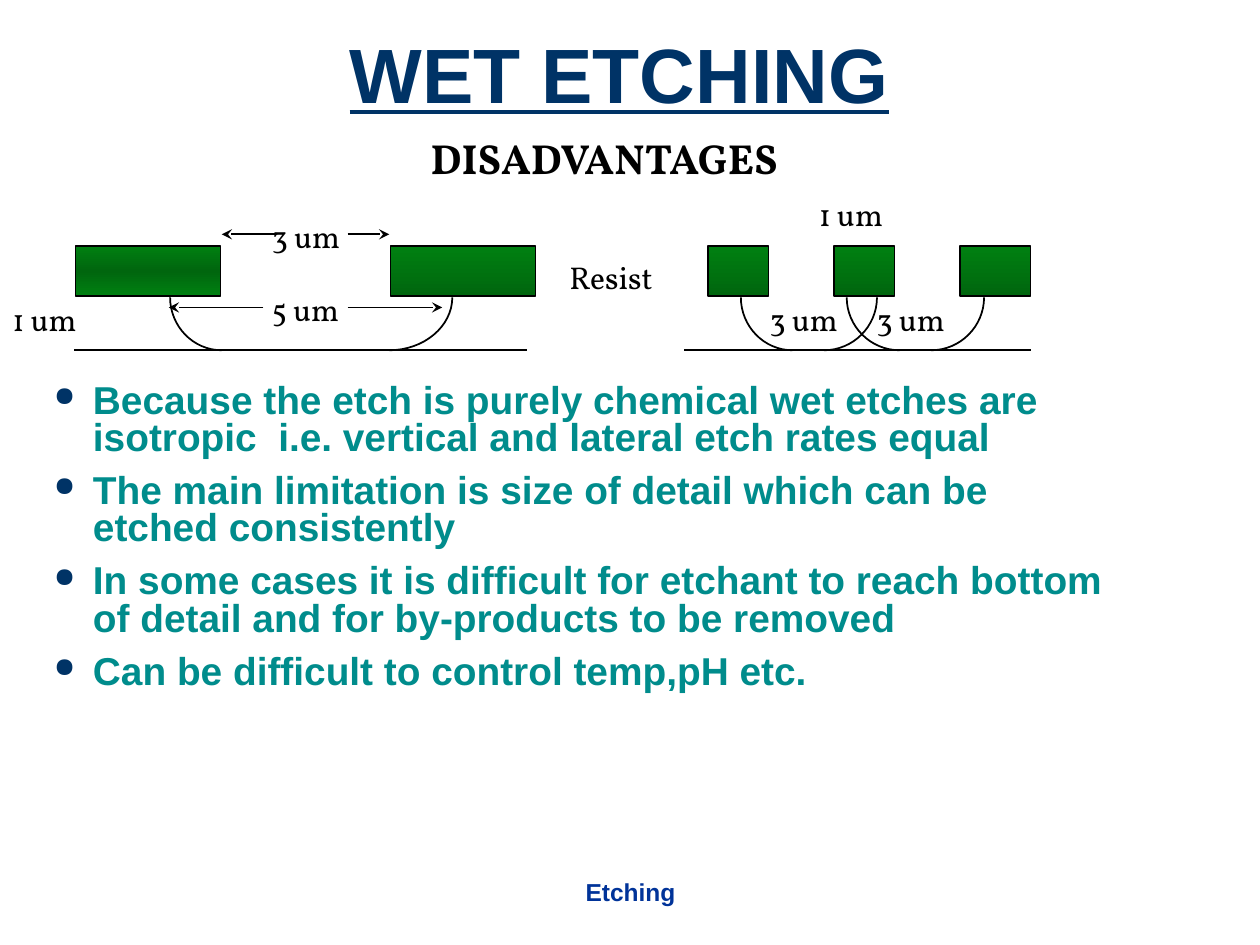
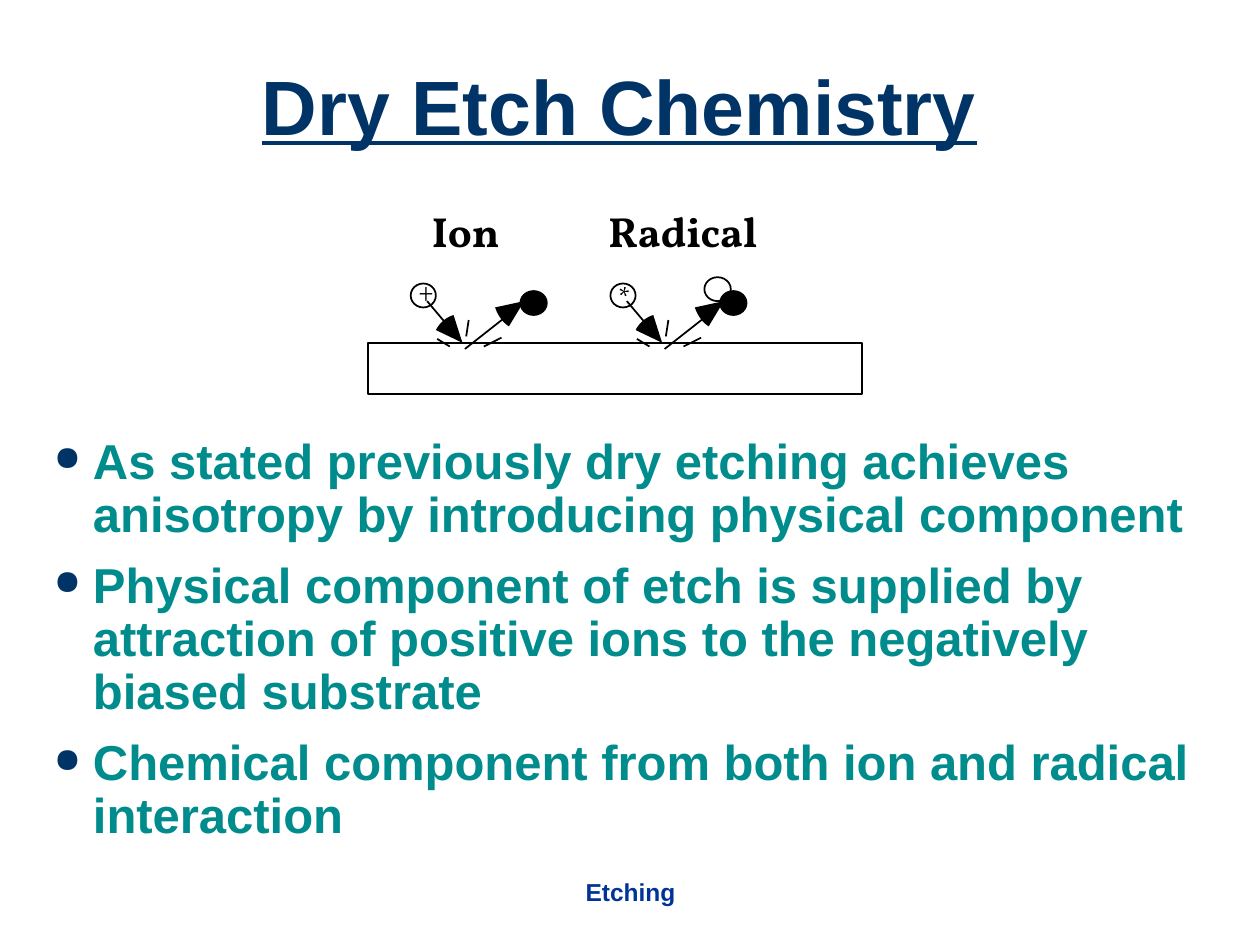
import copy
from typing import NamedTuple, Sequence

import pptx
import pptx.dml.color
import pptx.enum.dml
import pptx.enum.shapes
import pptx.enum.text
import pptx.oxml
import pptx.oxml.ns
import pptx.shapes.autoshape
import pptx.slide
import pptx.util

RGBColor = pptx.dml.color.RGBColor
NAVY = RGBColor(0x00, 0x33, 0x66)
BLUE = RGBColor(0x00, 0x33, 0x99)
TEAL = RGBColor(0x00, 0x8C, 0x8C)
BLACK = RGBColor(0x00, 0x00, 0x00)
GREEN = RGBColor(0x00, 0x80, 0x11)
DARK_GREEN = RGBColor(0x00, 0x66, 0x0E)

SANS, SERIF = "Arial", "Vollkorn"
ALIGN = pptx.enum.text.PP_ALIGN
ANCHOR = pptx.enum.text.MSO_ANCHOR
SHAPE = pptx.enum.shapes.MSO_SHAPE

# The slide is a grid of 100 columns by 75 rows
SLIDE_W, SLIDE_H = pptx.util.Inches(10), pptx.util.Inches(7.5)
COL, ROW = SLIDE_W // 100, SLIDE_H // 75


class Point(NamedTuple):
    col: float
    row: float

    def emu(self) -> tuple[int, int]:
        return round(self.col * COL), round(self.row * ROW)


class Box(NamedTuple):
    col: float
    row: float
    cols: float
    rows: float

    def emu(self) -> tuple[int, int, int, int]:
        return (round(self.col * COL), round(self.row * ROW),
                round(self.cols * COL), round(self.rows * ROW))


class Line(NamedTuple):
    start: Point
    end: Point


class Label(NamedTuple):
    text: str
    col: float
    row: float
    cols: float = 8


class EtchCurve(NamedTuple):
    floor_col: float
    edge_col: float


class Particle(NamedTuple):
    symbol: str
    shift: float
    symbol_row: float
    takes_atom: bool


# Drawing helpers
def sub(parent, tag: str, **attrs: str):
    """Append a DrawingML element to its parent."""
    el = pptx.oxml.parse_xml(f"<a:{tag} {pptx.oxml.ns.nsdecls('a')}/>")
    for name, value in attrs.items():
        el.set(name, value)
    parent.append(el)
    return el


def add_text(slide: pptx.slide.Slide, box: Box, *paragraphs: str, size: float,
             color: RGBColor = BLACK, font: str = SERIF, bold: bool = False,
             underline: bool = False, align: ALIGN = ALIGN.LEFT,
             anchor: ANCHOR = ANCHOR.TOP, wrap: bool = False,
             grow: bool = False, spacing: float = 1.0, before: float = 0,
             bullets: bool = False, inset: tuple[float, float] = (0.1, 0.05),
             tab: float | None = None) -> None:
    tf = slide.shapes.add_textbox(*box.emu()).text_frame
    tf.word_wrap = wrap
    tf.auto_size = (pptx.enum.text.MSO_AUTO_SIZE.SHAPE_TO_FIT_TEXT if grow
                    else pptx.enum.text.MSO_AUTO_SIZE.NONE)
    tf.vertical_anchor = anchor
    tf.margin_left = tf.margin_right = pptx.util.Inches(inset[0])
    tf.margin_top = tf.margin_bottom = pptx.util.Inches(inset[1])
    for i, text in enumerate(paragraphs):
        p = tf.add_paragraph() if i else tf.paragraphs[0]
        p.alignment = align
        p.line_spacing = spacing
        if i:
            p.space_before = pptx.util.Pt(before)
        pPr = p._p.get_or_add_pPr()
        if bullets:
            indent = pptx.util.Inches(0.31)
            pPr.set("marL", str(indent))
            pPr.set("indent", str(-indent))
            sub(sub(pPr, "buClr"), "srgbClr", val=str(NAVY))
            sub(pPr, "buSzPct", val="70000")
            sub(pPr, "buChar", char="●")
        if tab is not None:
            sub(sub(pPr, "tabLst"), "tab", pos=str(round(tab * COL)), algn="l")
        r = p.add_run()
        r.text = text
        r.font.name, r.font.size = font, pptx.util.Pt(size)
        r.font.bold, r.font.underline = bold, underline
        r.font.color.rgb = color


def paint(sp: pptx.shapes.autoshape.Shape, fill: RGBColor | None = None,
          line: RGBColor | None = BLACK) -> None:
    sp.shadow.inherit = False
    if fill is None:
        sp.fill.background()
    else:
        sp.fill.solid()
        sp.fill.fore_color.rgb = fill
    if line is None:
        sp.line.fill.background()
    else:
        sp.line.color.rgb = line
        sp.line.width = pptx.util.Pt(1)


def add_preset(slide: pptx.slide.Slide, kind: SHAPE, box: Box,
               fill: RGBColor | None = None) -> pptx.shapes.autoshape.Shape:
    sp = slide.shapes.add_shape(kind, *box.emu())
    paint(sp, fill)
    return sp


def add_line(slide: pptx.slide.Slide, line: Line, arrow: bool = False) -> None:
    cx = slide.shapes.add_connector(pptx.enum.shapes.MSO_CONNECTOR.STRAIGHT,
                                    *line.start.emu(), *line.end.emu())
    cx.line.color.rgb = BLACK
    cx.line.width = pptx.util.Pt(1)
    if arrow:
        sub(cx.line._get_or_add_ln(), "tailEnd", type="stealth")
    sub(cx._element.spPr, "effectLst")


def bezier(a: Point, b: Point, c: Point, d: Point, steps: int = 16) -> list[Point]:
    """Sample a cubic curve at equal parameter steps."""
    def blend(t: float, w: float, x: float, y: float, z: float) -> float:
        u = 1 - t
        return u**3 * w + 3 * u * u * t * x + 3 * u * t * t * y + t**3 * z
    return [Point(*(blend(i / steps, *axis) for axis in zip(a, b, c, d)))
            for i in range(steps + 1)]


def add_outline(slide: pptx.slide.Slide, points: Sequence[Point],
                filled: bool = False) -> None:
    first, *rest = [pt.emu() for pt in points]
    fb = slide.shapes.build_freeform(*first)
    fb.add_line_segments(rest, close=filled)
    paint(fb.convert_to_shape(), *((BLACK, None) if filled else (None, BLACK)))


# Parts the slides share
def add_footer(slide: pptx.slide.Slide) -> None:
    add_text(slide, Box(34.2, 68.3, 31.7, 5), "Etching", size=14, color=BLUE,
             font=SANS, bold=True, align=ALIGN.CENTER, anchor=ANCHOR.MIDDLE)


def add_title(slide: pptx.slide.Slide, text: str, row: float) -> None:
    add_text(slide, Box(2.5, row, 93.3, 12.5), text, size=44, color=NAVY,
             font=SANS, bold=True, underline=True, align=ALIGN.CENTER,
             anchor=ANCHOR.MIDDLE, wrap=True, spacing=0.9)


def add_body(slide: pptx.slide.Slide, box: Box, *points: str, size: float,
             spacing: float, before: float) -> None:
    add_text(slide, box, *points, size=size, color=TEAL, font=SANS, bold=True,
             wrap=True, spacing=spacing, before=before, bullets=True)


# Wet etching: resist blocks over undercut curves
RESIST_TOP, RESIST_H = 19.5, 4
CURVE_TOP, FLOOR = 23.6, 27.8
RESIST = [(6, 11.5), (31, 11.5), (56.2, 4.8), (66.2, 4.8), (76.2, 5.6)]
CURVES = [EtchCurve(17.6, 13.5), EtchCurve(30.9, 35.9), EtchCurve(62.9, 58.8),
          EtchCurve(65.4, 69.6), EtchCurve(71.4, 67.2), EtchCurve(73.9, 78.1)]
FLOORS = [(5.9, 41.8), (54.3, 81.8)]
# Row, then start and end columns
DIMENSIONS = [(18.6, 27.6, 30.9), (18.6, 21.8, 17.6),
              (24.4, 20.9, 13.4), (24.4, 27.6, 35.1)]
LABELS = [Label("3 um", 20.6, 16.7), Label("5 um", 20.6, 22.5),
          Label("1 um", 0, 23.3), Label("1 um", 64, 15),
          Label("3 um", 68.6, 23.3), Label("3 um", 60.1, 23.3),
          Label("Resist", 44.2, 20, 8.9)]


def add_resist(slide: pptx.slide.Slide, col: float, cols: float,
               mirrored: bool) -> None:
    sp = add_preset(slide, SHAPE.RECTANGLE, Box(col, RESIST_TOP, cols, RESIST_H))
    sp.fill.gradient()
    sp.fill.gradient_angle = 270
    colors = [GREEN, DARK_GREEN]
    if mirrored:
        colors.append(GREEN)
        stops = sp._element.spPr.find(".//" + pptx.oxml.ns.qn("a:gsLst"))
        stops.append(copy.deepcopy(stops[-1]))
    for i, (stop, color) in enumerate(zip(sp.fill.gradient_stops, colors)):
        stop.position = i / (len(colors) - 1)
        stop.color.rgb = color


def add_etch_curve(slide: pptx.slide.Slide, curve: EtchCurve) -> None:
    reach = 0.55
    floor, edge = curve
    add_outline(slide, bezier(
        Point(floor, FLOOR), Point(floor + reach * (edge - floor), FLOOR),
        Point(edge, CURVE_TOP + reach * (FLOOR - CURVE_TOP)), Point(edge, CURVE_TOP)))


def wet_etching(slide: pptx.slide.Slide) -> None:
    add_footer(slide)
    add_title(slide, "WET ETCHING", 0)
    add_body(slide, Box(3.3, 30, 85.4, 28.3),
             "Because the etch is purely chemical wet etches are isotropic  i.e. "
             "vertical and lateral etch rates equal",
             "The main limitation is size of detail which can be etched consistently",
             "In some cases it is difficult for etchant to reach bottom of detail "
             "and for by-products to be removed",
             "Can be difficult to control temp,pH etc.",
             size=22.2, spacing=0.8, before=9)
    add_text(slide, Box(33.2, 10, 31.8, 5), "DISADVANTAGES", size=24, bold=True,
             grow=True)
    for i, (col, cols) in enumerate(RESIST):
        add_resist(slide, col, cols, mirrored=i == 0)
    for start, end in FLOORS:
        add_line(slide, Line(Point(start, FLOOR), Point(end, FLOOR)))
    for curve in CURVES:
        add_etch_curve(slide, curve)
    for row, start, end in DIMENSIONS:
        add_line(slide, Line(Point(start, row), Point(end, row)), arrow=True)
    for label in LABELS:
        add_text(slide, Box(label.col, label.row, label.cols, 4), label.text,
                 size=18, grow=True)


# Dry etching: a particle strikes the substrate and a product leaves
PARTICLES = [Particle("+", 0, 21, False), Particle("*", 15.85, 21.6, True)]
PATHS = [Line(Point(33.9, 23.9), Point(36.6, 27.1)),
         Line(Point(36.9, 27.7), Point(41.6, 24))]
SPARKS = [Line(Point(34.7, 26.9), Point(35.7, 27.5)),
          Line(Point(39.8, 26.8), Point(38.4, 27.5)),
          Line(Point(37.2, 25.4), Point(37, 26.7))]
# Curved back of each arrowhead, then its tip
HEADS = [((34.6, 26.2), (34.9, 25.6), (35.4, 25.2), (36, 25), (36.7, 27.2)),
         ((40.4, 25.9), (39.9, 25.6), (39.5, 25), (39.3, 24.4), (41.6, 23.9))]


def add_particle(slide: pptx.slide.Slide, particle: Particle) -> None:
    dx = particle.shift

    def moved(pt: Sequence[float]) -> Point:
        return Point(pt[0] + dx, pt[1])

    add_preset(slide, SHAPE.OVAL, Box(32.6 + dx, 22.5, 2, 1.9))
    for head in HEADS:
        *back, tip = map(moved, head)
        add_outline(slide, [*bezier(*back), tip], filled=True)
    for line in PATHS + SPARKS:
        add_line(slide, Line(moved(line.start), moved(line.end)))
    if particle.takes_atom:
        add_preset(slide, SHAPE.OVAL, Box(40.05 + dx, 22, 2.1, 1.9))
    add_preset(slide, SHAPE.OVAL, Box(41.3 + dx, 23.1, 2.1, 1.9), BLACK)
    add_text(slide, Box(31.9 + dx, particle.symbol_row, 3.8, 4), particle.symbol,
             size=16, grow=True, inset=(0.13, 0.07))


def dry_etch_chemistry(slide: pptx.slide.Slide) -> None:
    add_footer(slide)
    add_preset(slide, SHAPE.RECTANGLE, Box(29.2, 27.2, 39.2, 4.1))
    for particle in PARTICLES:
        add_particle(slide, particle)
    add_text(slide, Box(33.3, 15.8, 29.8, 5), "Ion\tRadical", size=24, bold=True,
             wrap=True, grow=True, tab=14)
    add_title(slide, "Dry Etch Chemistry", 2.5)
    add_body(slide, Box(3.3, 34.2, 93.3, 35),
             "As stated previously dry etching achieves anisotropy by introducing "
             "physical component",
             "Physical component of etch is supplied by attraction of positive "
             "ions to the negatively biased substrate",
             "Chemical component from both ion and radical interaction",
             size=28, spacing=0.9, before=10.5)


def main() -> None:
    prs = pptx.Presentation()
    prs.slide_width, prs.slide_height = SLIDE_W, SLIDE_H
    for build in (wet_etching, dry_etch_chemistry):
        build(prs.slides.add_slide(prs.slide_layouts[6]))
    prs.save("out.pptx")


if __name__ == "__main__":
    main()
